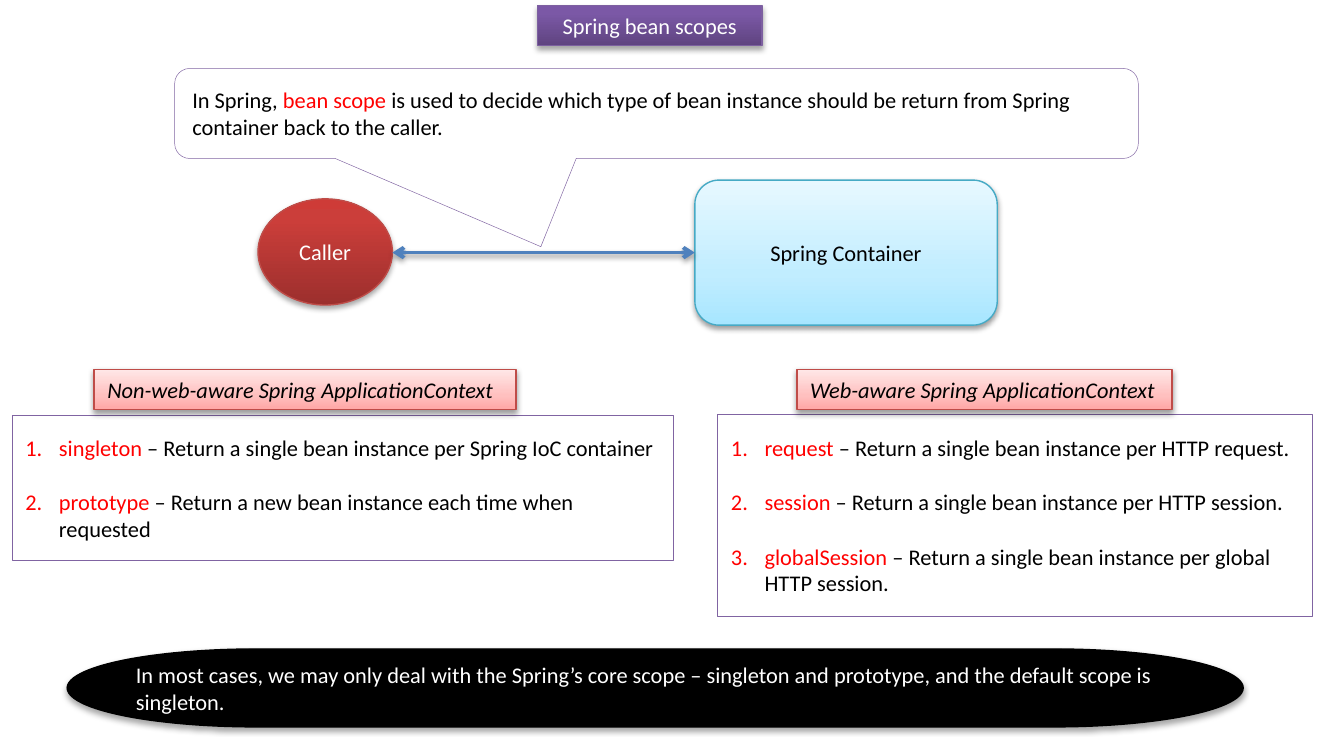
from dataclasses import dataclass
from typing import Optional

from lxml import etree
from pptx import Presentation
from pptx.dml.color import RGBColor
from pptx.enum.shapes import MSO_CONNECTOR, MSO_SHAPE
from pptx.enum.text import MSO_ANCHOR, PP_ALIGN
from pptx.oxml.ns import qn
from pptx.util import Inches, Pt

RECT, ROUND, OVAL = MSO_SHAPE.RECTANGLE, MSO_SHAPE.ROUNDED_RECTANGLE, MSO_SHAPE.OVAL
CALL, PANEL = MSO_SHAPE.ROUNDED_RECTANGULAR_CALLOUT, MSO_SHAPE.FLOWCHART_PROCESS
PILL = MSO_SHAPE.FLOWCHART_TERMINATOR
LEFT, MID = PP_ALIGN.LEFT, PP_ALIGN.CENTER

WIDE, HIGH = 10, 5.5
COLS, ROWS = 100, 55
FONT, SIZE = "Calibri", 12

INK = {
    "white": "FFFFFF", "black": "000000", "red": "FF0000", "violet": "8064A2",
    "plum": "7D60A0", "teal": "46AAC5", "brick": "BF4C48", "blue": "4F81BD",
}
# Gradient stops run from the bottom edge to the top
FADE = {
    "plum": ((0, "5F4480"), (80, "7B58A6"), (100, "7C57A8")),
    "sky": ((0, "A7E6FF"), (35, "C1EDFF"), (100, "E7F8FF")),
    "brick": ((0, "9C2F2D"), (80, "CB3E3A"), (100, "CE3B37")),
    "rose": ((0, "FFA6A5"), (35, "FFC0BF"), (100, "FFE7E7")),
}
DEEP, SOFT = (35, 1.8), (38, 1.6)  # shadow opacity in percent, distance in points

Runs = list[tuple[str, str]]


@dataclass
class Box:
    kind: int
    col: float
    row: float
    wide: float
    high: float
    fill: str
    edge: str
    paras: list[Runs]
    shade: Optional[tuple[int, float]] = None
    align: int = LEFT
    thin: float = 0.75
    wrap: bool = True
    slant: bool = False
    count: bool = False
    adj: tuple[float, ...] = ()


def across(col: float) -> int:
    return Inches(col * WIDE / COLS)


def down(row: float) -> int:
    return Inches(row * HIGH / ROWS)


def rgb(name: str) -> RGBColor:
    return RGBColor.from_string(INK[name])


def add(node, tag: str, **attrs):
    return etree.SubElement(node, qn(tag), {k: str(v) for k, v in attrs.items()})


def cast(node, shade: tuple[int, float]) -> None:
    """Put a downward shadow into an effect list."""
    alpha, dist = shade
    glow = add(node, "a:outerShdw", blurRad=Pt(3.1), dist=Pt(dist),
               dir=90 * 60000, rotWithShape=0)
    tone = add(glow, "a:srgbClr", val=INK["black"])
    add(tone, "a:alpha", val=alpha * 1000)


def paint(shape, fill: str) -> None:
    if fill not in FADE:
        shape.fill.solid()
        shape.fill.fore_color.rgb = rgb(fill)
        return
    shape.fill.gradient()
    shape.fill.gradient_angle = 90
    stops = shape.element.spPr.find(".//" + qn("a:gsLst"))
    for stop in list(stops):
        stops.remove(stop)
    for pos, tone in FADE[fill]:
        add(add(stops, "a:gs", pos=pos * 1000), "a:srgbClr", val=tone)


def write(shape, box: Box) -> None:
    frame = shape.text_frame
    frame.word_wrap = box.wrap
    frame.vertical_anchor = MSO_ANCHOR.MIDDLE
    for n, runs in enumerate(box.paras):
        para = frame.add_paragraph() if n else frame.paragraphs[0]
        para.alignment = box.align
        if box.count:
            props = para._p.get_or_add_pPr()
            props.set("marL", str(Inches(0.25)))
            props.set("indent", str(-Inches(0.25)))
            if n:
                para.space_before = Pt(14.65)
            add(props, "a:buFont", typeface="+mj-lt")
            add(props, "a:buAutoNum", type="arabicPeriod")
        for text, tone in runs:
            run = para.add_run()
            run.text = text
            font = run.font
            font.name, font.size = FONT, Pt(SIZE)
            font.color.rgb = rgb(tone)
            if box.slant:
                font.italic = True


def draw(slide, box: Box) -> None:
    shape = slide.shapes.add_shape(box.kind, across(box.col), down(box.row),
                                   across(box.wide), down(box.high))
    for n, val in enumerate(box.adj):
        shape.adjustments[n] = val
    paint(shape, box.fill)
    shape.line.color.rgb = rgb(box.edge)
    shape.line.width = Pt(box.thin)
    shape.shadow.inherit = False
    if box.shade:
        cast(shape.element.spPr.find(qn("a:effectLst")), box.shade)
    write(shape, box)


def link(slide, start: float, end: float, row: float) -> None:
    """Draw a level arrow with a head at both ends."""
    wire = slide.shapes.add_connector(MSO_CONNECTOR.STRAIGHT, across(start), down(row),
                                      across(end), down(row))
    wire.line.color.rgb = rgb("blue")
    wire.line.width = Pt(2)
    props = wire.element.spPr
    for tag in ("a:headEnd", "a:tailEnd"):
        add(props.find(qn("a:ln")), tag, type="arrow")
    cast(add(props, "a:effectLst"), SOFT)


def label(text: str, col: float, wide: float) -> Box:
    return Box(RECT, col, 27.5, wide, 3, "rose", "brick", [[(text, "black")]], SOFT,
               wrap=False, slant=True)


def panel(col: float, row: float, wide: float, high: float,
          scopes: dict[str, str]) -> Box:
    paras = [[(name, "red"), (f" – Return a {text}", "black")]
             for name, text in scopes.items()]
    return Box(PANEL, col, row, wide, high, "white", "violet", paras, thin=0.25,
               count=True)


# Title, container and caller
HEAD = [
    Box(RECT, 40, 0.4, 16.7, 3, "plum", "plum", [[("Spring bean scopes", "white")]],
        DEEP, MID),
    Box(ROUND, 51.7, 13.4, 22.5, 10.8, "sky", "teal", [[("Spring Container", "black")]],
        SOFT, MID),
    Box(OVAL, 19.2, 14.8, 10, 7.9, "brick", "brick", [[("Caller", "white")]], DEEP, MID),
]
# Callout, scope lists with their labels, and closing note
BODY = [
    Box(CALL, 13, 5.1, 71.7, 6.7, "white", "violet",
        [[("In Spring, ", "black"), ("bean scope ", "red"),
          ("is used to decide which type of bean instance should be return from "
           "Spring container back to the caller.", "black")]],
        thin=0.25, adj=(-0.12, 1.48, 0.167)),
    panel(0.9, 30.9, 49.2, 10.8, {
        "singleton": "single bean instance per Spring IoC container",
        "prototype": "new bean instance each time when requested",
    }),
    panel(53.4, 30.8, 44.2, 15.1, {
        "request": "single bean instance per HTTP request.",
        "session": "single bean instance per HTTP session.",
        "globalSession": "single bean instance per global HTTP session.",
    }),
    label("Non-web-aware Spring ApplicationContext", 7, 31.4),
    label("Web-aware Spring ApplicationContext", 59.3, 27.9),
    Box(PILL, 5, 48.3, 87.5, 5.8, "black", "black",
        [[("In most cases, we may only deal with the Spring’s core scope – singleton "
           "and prototype, and the default scope is singleton.", "white")]], DEEP),
]


def main() -> None:
    deck = Presentation()
    deck.slide_width, deck.slide_height = Inches(WIDE), Inches(HIGH)
    slide = deck.slides.add_slide(deck.slide_layouts[6])
    for box in HEAD:
        draw(slide, box)
    link(slide, 29.2, 51.7, 18.8)
    for box in BODY:
        draw(slide, box)
    deck.save("out.pptx")


if __name__ == "__main__":
    main()
